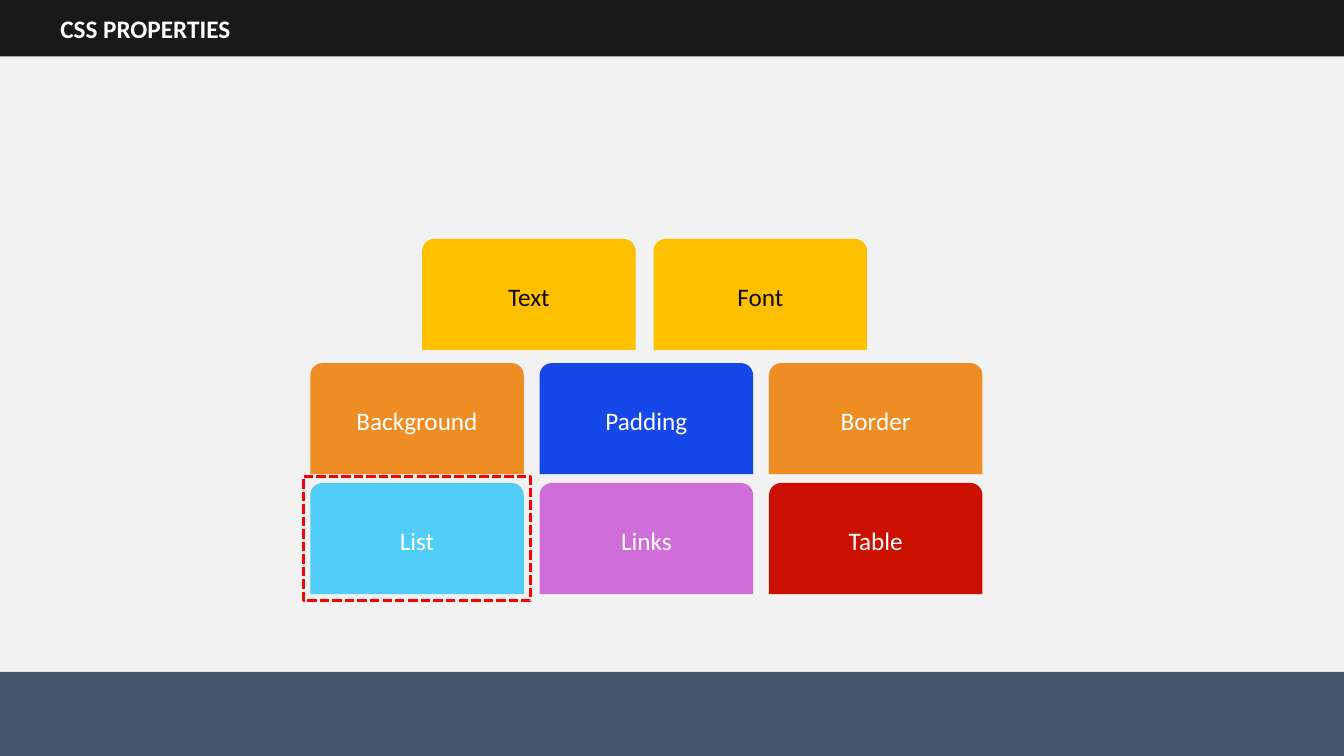
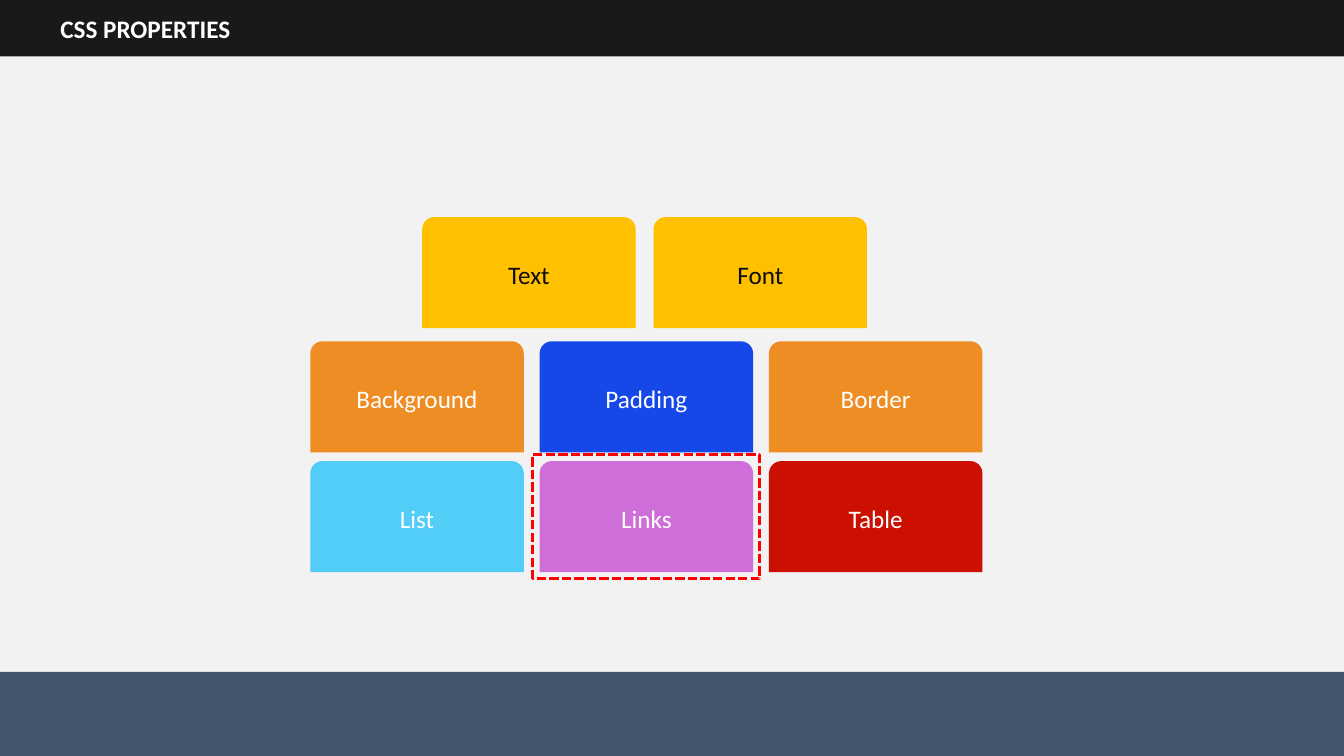
from pptx import Presentation
from pptx.dml.color import RGBColor
from pptx.enum import dml, shapes, text
from pptx.util import Cm, Pt

WHITE = RGBColor(0xFF, 0xFF, 0xFF)
INK = RGBColor(0x0D, 0x0D, 0x0D)
HEADER = RGBColor(0x19, 0x19, 0x19)
PAGE = RGBColor(0xF2, 0xF2, 0xF2)
FOOTER = RGBColor(0x44, 0x54, 0x6A)
YELLOW = RGBColor(0xFF, 0xC0, 0x00)
ORANGE = RGBColor(0xED, 0x8D, 0x23)
BLUE = RGBColor(0x15, 0x47, 0xE9)
SKY = RGBColor(0x52, 0xCD, 0xF8)
VIOLET = RGBColor(0xCF, 0x6D, 0xD9)
CRIMSON = RGBColor(0xCB, 0x0F, 0x01)
RED = RGBColor(0xFF, 0x00, 0x00)

SLIDE_WIDTH, SLIDE_HEIGHT = Cm(33.87), Cm(19.05)
FOOTER_HEIGHT = Cm(2.12)
CARD_WIDTH, CARD_HEIGHT = Cm(5.38), Cm(2.8)
FRAME_MARGIN = Cm(0.17)

# Each row: offset from the top row, left edge, column step, cards
CARD_ROWS = [
    (Cm(0), Cm(10.64), Cm(5.83),
     [("Text", YELLOW, INK), ("Font", YELLOW, INK)]),
    (Cm(3.13), Cm(7.82), Cm(5.78),
     [("Background", ORANGE, WHITE), ("Padding", BLUE, WHITE), ("Border", ORANGE, WHITE)]),
    (Cm(6.15), Cm(7.82), Cm(5.78),
     [("List", SKY, WHITE), ("Links", VIOLET, WHITE), ("Table", CRIMSON, WHITE)]),
]


class Deck:
    """Holds the shared style and the slide being built."""

    font_name = "Calibri"
    font_size = Pt(18)

    def __init__(self):
        self.presentation = Presentation()
        self.presentation.slide_width = SLIDE_WIDTH
        self.presentation.slide_height = SLIDE_HEIGHT
        self.layout = self.presentation.slide_layouts.get_by_name("Title Only")
        background = self.layout.background.fill
        background.solid()
        background.fore_color.rgb = PAGE
        self.slide = None

    def add_slide(self, title):
        first = self.slide is None
        self.slide = self.presentation.slides.add_slide(self.layout)
        if first:
            self.add_layout_footer()
        self.set_title(title)

    def add_layout_footer(self):
        """Draw the footer band, then move it behind everything on the layout."""
        band = self.add_shape(shapes.MSO_SHAPE.RECTANGLE, 0, SLIDE_HEIGHT - FOOTER_HEIGHT,
                              SLIDE_WIDTH, FOOTER_HEIGHT, FOOTER)
        self.layout.shapes.element.insert(2, band.element)

    def set_title(self, title):
        shape = self.slide.shapes.title
        shape.left, shape.top, shape.width, shape.height = 0, 0, SLIDE_WIDTH, Cm(1.42)
        shape.fill.solid()
        shape.fill.fore_color.rgb = HEADER
        shape.text_frame.auto_size = text.MSO_AUTO_SIZE.NONE
        shape.text_frame.margin_left = Cm(1.52)
        self.set_text(shape, title, WHITE, text.PP_ALIGN.LEFT, bold=True)

    def add_shape(self, kind, left, top, width, height, fill=None):
        shape = self.slide.shapes.add_shape(kind, left, top, width, height)
        shape.shadow.inherit = False
        shape.line.fill.background()
        if fill is None:
            shape.fill.background()
        else:
            shape.fill.solid()
            shape.fill.fore_color.rgb = fill
        return shape

    def set_text(self, shape, words, color, alignment=text.PP_ALIGN.CENTER, bold=False):
        frame = shape.text_frame
        frame.text = words
        frame.vertical_anchor = text.MSO_ANCHOR.MIDDLE
        paragraph = frame.paragraphs[0]
        paragraph.alignment = alignment
        font = paragraph.font
        font.name, font.size, font.bold = self.font_name, self.font_size, bold
        font.color.rgb = color

    def add_card(self, label, left, top, fill, color):
        card = self.add_shape(shapes.MSO_SHAPE.ROUND_2_SAME_RECTANGLE, left, top,
                              CARD_WIDTH, CARD_HEIGHT, fill)
        card.adjustments[0] = 0.11
        self.set_text(card, label, color)
        return card

    def add_highlight(self, card):
        frame = self.add_shape(shapes.MSO_SHAPE.RECTANGLE,
                               card.left - FRAME_MARGIN, card.top - FRAME_MARGIN,
                               card.width + 2 * FRAME_MARGIN, card.height + 2 * FRAME_MARGIN)
        frame.line.color.rgb = RED
        frame.line.width = Pt(2.25)
        frame.line.dash_style = dml.MSO_LINE.SQUARE_DOT

    def add_card_wall(self, top, highlighted):
        cards = {}
        for offset, left, step, row in CARD_ROWS:
            for column, (label, fill, color) in enumerate(row):
                cards[label] = self.add_card(label, left + column * step, top + offset,
                                             fill, color)
        self.add_highlight(cards[highlighted])


def main():
    deck = Deck()
    for top, highlighted in [(Cm(6.02), "List"), (Cm(5.47), "Links")]:
        deck.add_slide("CSS PROPERTIES")
        deck.add_card_wall(top, highlighted)
    deck.presentation.save("out.pptx")


if __name__ == "__main__":
    main()
